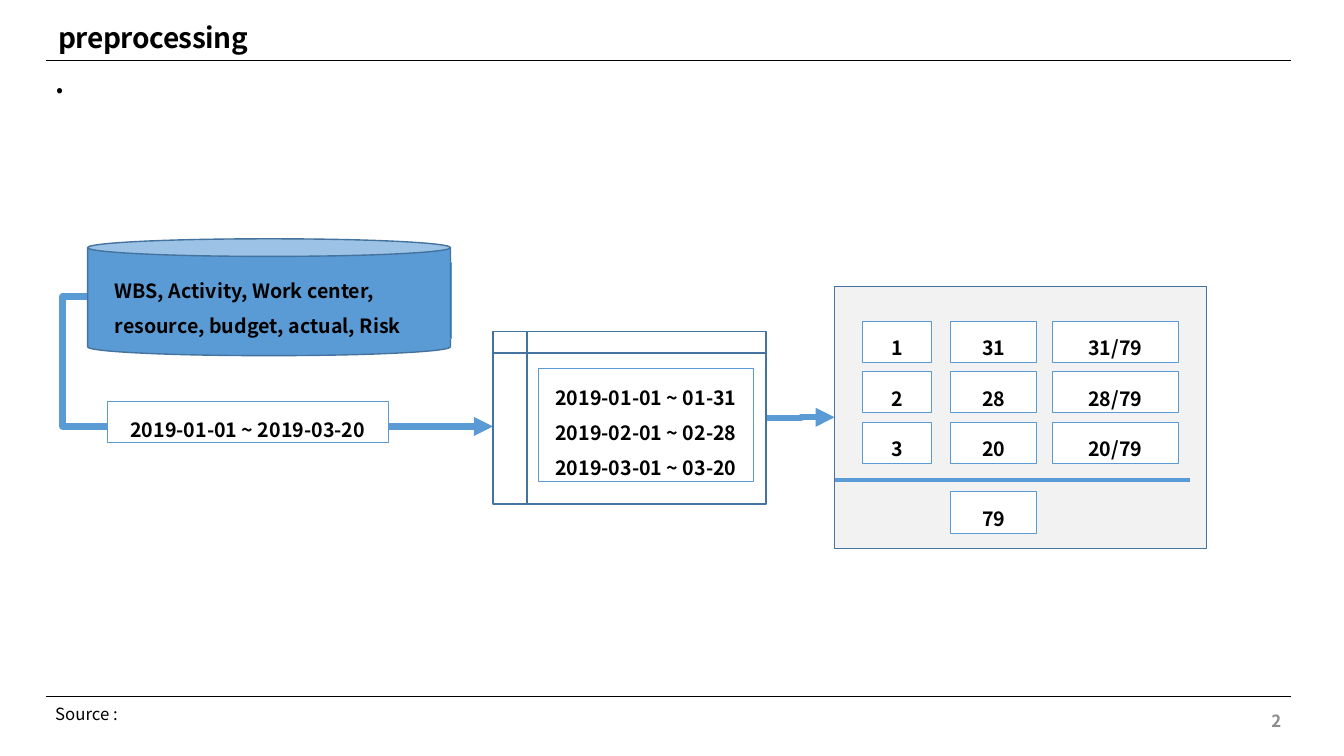
from lxml import etree
from pptx import Presentation
from pptx.dml.color import RGBColor
from pptx.enum.shapes import MSO_CONNECTOR, MSO_SHAPE
from pptx.enum.text import MSO_ANCHOR, MSO_AUTO_SIZE, PP_ALIGN
from pptx.oxml.ns import qn
from pptx.util import Pt

FONT = "Noto Sans CJK KR"
BLACK, WHITE, GREY, PANEL = "000000", "FFFFFF", "8C8C8C", "F2F2F2"
BLUE, DARK_BLUE = "5B9BD5", "43739E"
RECT, CAN, STORAGE = MSO_SHAPE.RECTANGLE, MSO_SHAPE.CAN, MSO_SHAPE.FLOWCHART_INTERNAL_STORAGE
STRAIGHT, ELBOW = MSO_CONNECTOR.STRAIGHT, MSO_CONNECTOR.ELBOW
LEFT, CENTER, RIGHT = PP_ALIGN.LEFT, PP_ALIGN.CENTER, PP_ALIGN.RIGHT
TOP, MIDDLE = MSO_ANCHOR.TOP, MSO_ANCHOR.MIDDLE
GROW = MSO_AUTO_SIZE.SHAPE_TO_FIT_TEXT


def rgb(color):
    return RGBColor.from_string(color)


def write(sp, lines, size=14, color=BLACK, bold=True, align=LEFT, anchor=TOP,
          line_spacing=None, tracking=None, auto_size=GROW):
    tf = sp.text_frame
    tf.word_wrap = True
    tf.auto_size = auto_size
    tf.vertical_anchor = anchor
    for i, line in enumerate(lines):
        p = tf.add_paragraph() if i else tf.paragraphs[0]
        p.alignment = align
        if line_spacing:
            p.line_spacing = line_spacing
        r = p.add_run()
        r.text = line
        r.font.name = FONT
        r.font.size = Pt(size)
        r.font.bold = bold
        r.font.color.rgb = rgb(color)
        if tracking:
            r.font._element.set("spc", str(tracking))


def add_text(s, x, y, w, h, text, **style):
    write(s.shapes.add_textbox(Pt(x), Pt(y), Pt(w), Pt(h)), [text], **style)


def add_shape(s, kind, x, y, w, h, fill=None, line=DARK_BLUE, width=1):
    sp = s.shapes.add_shape(kind, Pt(x), Pt(y), Pt(w), Pt(h))
    sp.shadow.inherit = False
    if fill:
        sp.fill.solid()
        sp.fill.fore_color.rgb = rgb(fill)
    else:
        sp.fill.background()
    sp.line.color.rgb = rgb(line)
    sp.line.width = Pt(width)
    return sp


def add_label(s, x, y, w, h, lines, fill=WHITE, align=CENTER, anchor=TOP):
    sp = add_shape(s, RECT, x, y, w, h, fill, BLUE, 0.75)
    write(sp, lines, align=align, anchor=anchor, line_spacing=1.5)


def add_line(s, x1, y1, x2, y2, color, width, kind=STRAIGHT):
    cx = s.shapes.add_connector(kind, Pt(x1), Pt(y1), Pt(x2), Pt(y2))
    cx.line.color.rgb = rgb(color)
    cx.line.width = Pt(width)
    etree.SubElement(cx._element.spPr, qn("a:effectLst"))
    return cx


def add_elbow_arrow(s, x1, y1, x2, y2, bend):
    cx = add_line(s, x1, y1, x2, y2, BLUE, 4.5, ELBOW)
    etree.SubElement(cx.line._get_or_add_ln(), qn("a:tailEnd"), type="triangle")
    guides = cx._element.spPr.find(qn("a:prstGeom")).get_or_add_avLst()
    etree.SubElement(guides, qn("a:gd"), name="adj1", fmla=f"val {round(bend * 100000)}")


def add_frame(s):
    for y in (43.2, 497.5):
        add_line(s, 33.1, y, 922.3, y, BLACK, 0.5)
    add_text(s, 34.6, 10.8, 872, 31.7, "preprocessing", size=20, tracking=-30)
    add_text(s, 706.3, 500.4, 216, 28.8, "2", size=12, color=GREY,
             align=RIGHT, anchor=MIDDLE, auto_size=MSO_AUTO_SIZE.NONE)
    add_text(s, 32.4, 43.2, 872, 31.7, ".", size=20, tracking=-30)
    add_text(s, 32.4, 499, 849.6, 21.6, "Source :", size=12, bold=False)


def add_month_shares(s):
    days = [31, 28, 20]
    total = sum(days)
    columns = [(616.3, 49), (679, 61.5), (751.7, 90)]
    for i, count in enumerate(days):
        row = [str(i + 1), str(count), f"{count}/{total}"]
        for (x, w), text in zip(columns, row):
            add_label(s, x, 229.5 + 36 * i, w, 29.5, [text], anchor=MIDDLE)
    add_line(s, 596.2, 342.7, 850.3, 342.7, BLUE, 3)
    x, w = columns[1]
    add_label(s, x, 351.4, w, 29.5, [str(total)], anchor=MIDDLE)


def main():
    prs = Presentation()
    prs.slide_width, prs.slide_height = Pt(960), Pt(540)
    s = prs.slides.add_slide(prs.slide_layouts[6])
    add_frame(s)
    add_shape(s, RECT, 596.2, 204.5, 265.7, 187.2, PANEL)
    add_elbow_arrow(s, 547.9, 298.8, 596.2, 298.1, 0.5)
    add_elbow_arrow(s, 62.6, 211.7, 352.1, 304.6, -0.062)
    database = add_shape(s, CAN, 62.6, 170.6, 259.2, 83.5, BLUE)
    database.adjustments[0] = 0.151
    add_label(s, 74.9, 187.2, 247.7, 54.7,
              ["WBS, Activity, Work center, resource, budget, actual, Risk"],
              fill=None, align=LEFT)
    add_shape(s, STORAGE, 352.1, 236.9, 195.1, 123.1)
    add_label(s, 77, 286.6, 200.2, 29.5, ["2019-01-01 ~ 2019-03-20"])
    add_label(s, 384.5, 263.5, 154.1, 80.6,
              ["2019-01-01 ~ 01-31", "2019-02-01 ~ 02-28", "2019-03-01 ~ 03-20"])
    add_month_shares(s)
    prs.save("out.pptx")


main()
